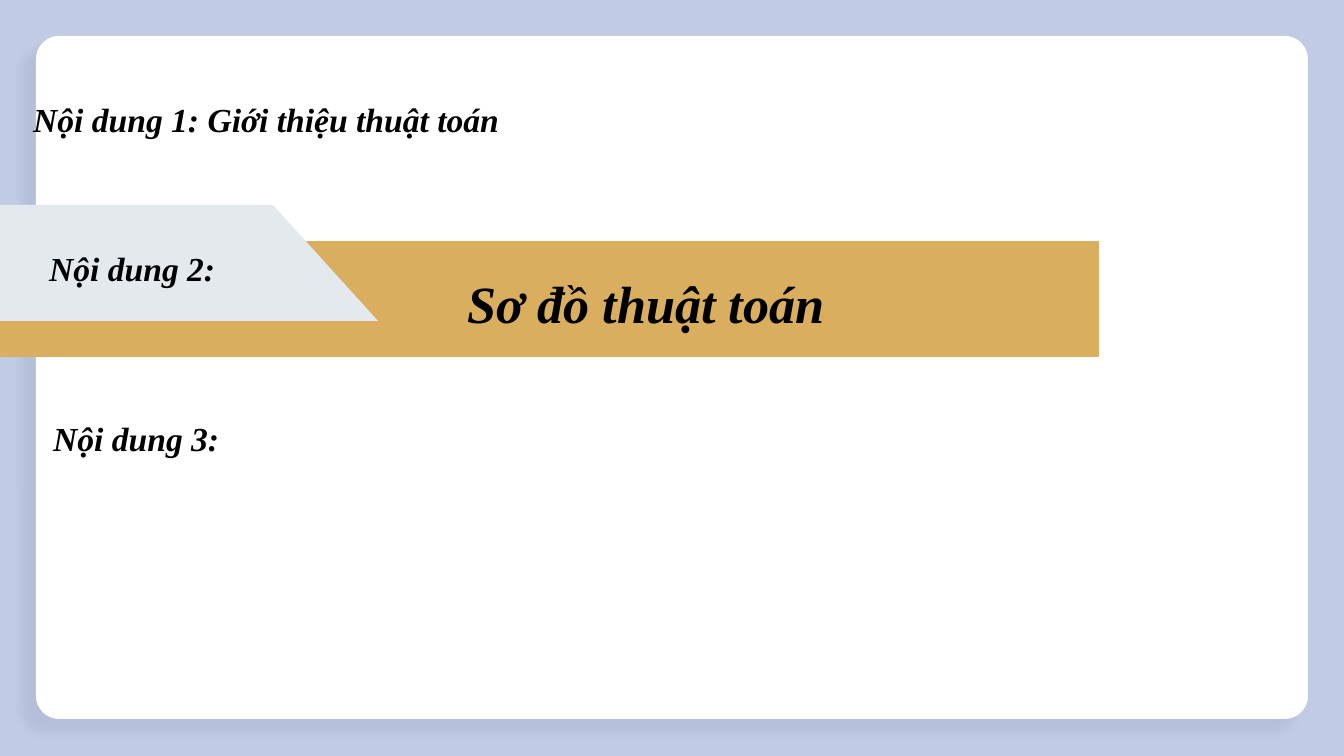
from lxml import etree
from pptx import Presentation
from pptx.dml.color import RGBColor
from pptx.enum.shapes import MSO_SHAPE
from pptx.oxml.ns import qn
from pptx.util import Emu, Pt

PX = 914400 / 134.4
FONT = "Times New Roman"
COLORS = {
    "background": "C2CBE6",
    "card": "FFFFFF",
    "shadow": "515B7A",
    "banner": "D9AE5F",
    "tab": "E3E9ED",
    "text": "000000",
}


def px(n):
    return Emu(round(n * PX))


def paint(sp, color):
    """Give a shape a flat fill with no outline or shadow."""
    sp.shadow.inherit = False
    sp.fill.solid()
    sp.fill.fore_color.rgb = RGBColor.from_string(COLORS[color])
    sp.line.fill.background()


prs = Presentation()
prs.slide_width, prs.slide_height = px(1344), px(756)
s = prs.slides.add_slide(prs.slide_layouts[6])
s.background.fill.solid()
s.background.fill.fore_color.rgb = RGBColor.from_string(COLORS["background"])

# Card with a soft shadow to the lower left
card = s.shapes.add_shape(MSO_SHAPE.ROUNDED_RECTANGLE, px(36), px(36), px(1272), px(683))
card.adjustments[0] = 0.034
paint(card, "card")
effects = card._element.spPr.find(qn("a:effectLst"))
shadow = etree.SubElement(
    effects, qn("a:outerShdw"), blurRad=str(Pt(4.5)), dist=str(Pt(10.5)),
    dir=str(137 * 60000), algn="bl", rotWithShape="0")
tint = etree.SubElement(shadow, qn("a:srgbClr"), val=COLORS["shadow"])
etree.SubElement(tint, qn("a:alpha"), val="10000")

# Banner and the slanted tab over it
outlines = [
    ("banner", [(0, 241), (0, 357), (1099, 357), (1099, 241)]),
    ("tab", [(0, 205), (0, 321), (378, 321), (273, 205)]),
]
for color, points in outlines:
    builder = s.shapes.build_freeform(*points[0], scale=PX)
    builder.add_line_segments(points[1:], close=True)
    paint(builder.convert_to_shape(), color)

# Headings: text, left, top, width, height, size
headings = [
    ("Nội dung 3:", 40, 411, 272, 54, 18),
    ("Nội dung 1: Giới thiệu thuật toán", 20, 92, 825, 95, 18),
    ("Nội dung 2:", 36, 241, 272, 54, 18),
    ("Sơ đồ thuật toán", 454, 265, 598, 77, 28),
]
for text, left, top, width, height, size in headings:
    tf = s.shapes.add_textbox(px(left), px(top), px(width), px(height)).text_frame
    tf.word_wrap = True
    p = tf.paragraphs[0]
    p.text = text
    p.font.name = FONT
    p.font.size = Pt(size)
    p.font.bold = p.font.italic = True
    p.font.color.rgb = RGBColor.from_string(COLORS["text"])

prs.save("out.pptx")
